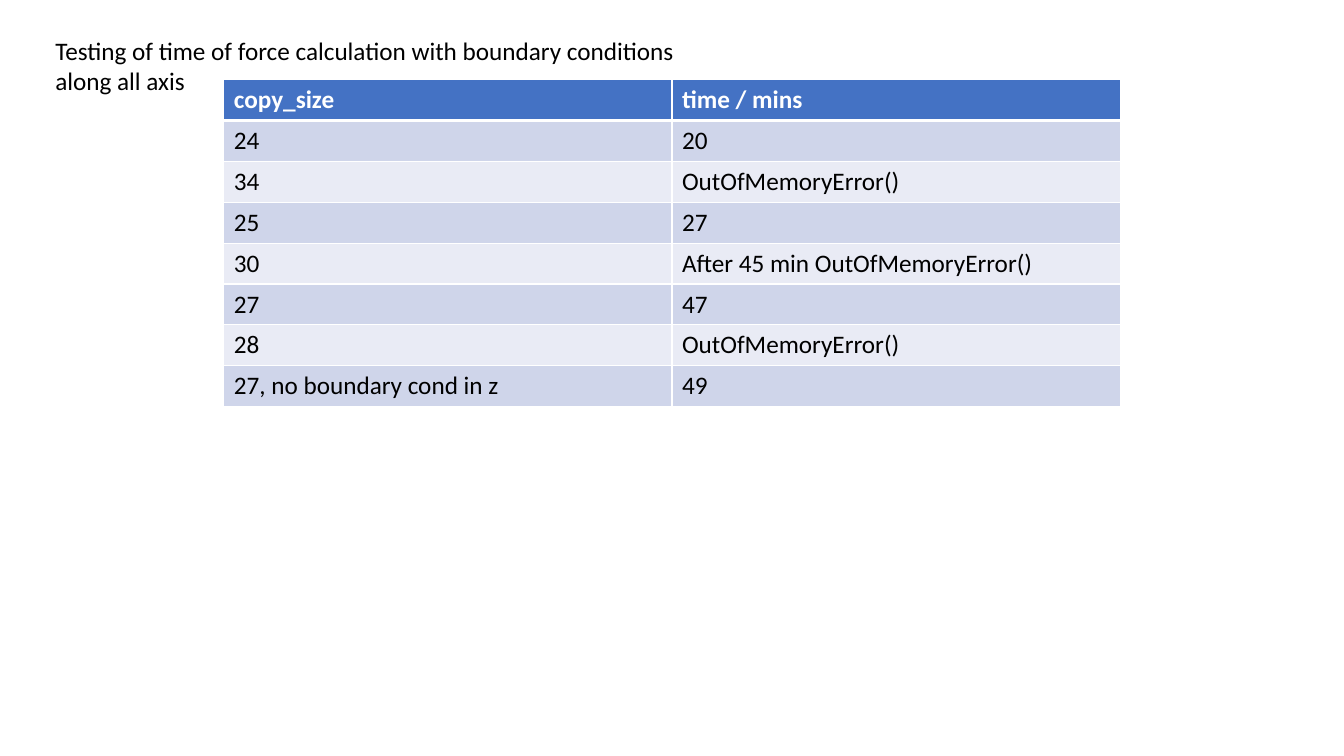
"""Build a slide listing force calculation times by copy size."""
from lxml.etree import SubElement
from pptx import Presentation
from pptx.dml.color import RGBColor
from pptx.oxml.ns import qn
from pptx.util import Inches, Pt


def style_text(paragraph, color, bold=False):
    font = paragraph.font
    font.name, font.size, font.bold = "Calibri", Pt(18), bold
    font.color.rgb = RGBColor.from_string(color)


def add_border(cell, side, points):
    line = SubElement(cell._tc.get_or_add_tcPr(), qn(f"a:ln{side}"), w=str(Pt(points)))
    SubElement(SubElement(line, qn("a:solidFill")), qn("a:srgbClr"), val="FFFFFF")


timings = [
    ("copy_size", "time / mins"),
    ("24", "20"),
    ("34", "OutOfMemoryError()"),
    ("25", "27"),
    ("30", "After 45 min OutOfMemoryError()"),
    ("27", "47"),
    ("28", "OutOfMemoryError()"),
    ("27, no boundary cond in z", "49"),
]

deck = Presentation()
deck.slide_width, deck.slide_height = Inches(13.33), Inches(7.5)
slide = deck.slides.add_slide(deck.slide_layouts[6])

results = slide.shapes.add_table(
    len(timings), 2, Inches(2.22), Inches(0.79), Inches(8.89), Inches(3.24)
).table
for row, timing in enumerate(timings):
    is_header = row == 0
    fill = "4472C4" if is_header else "CFD5EA" if row % 2 else "E9EBF5"
    for column, value in enumerate(timing):
        cell = results.cell(row, column)
        cell.text = value
        style_text(cell.text_frame.paragraphs[0], "FFFFFF" if is_header else "000000", is_header)
        add_border(cell, "L", 1)
        add_border(cell, "R", 1)
        add_border(cell, "T", 3 if row == 1 else 1)
        add_border(cell, "B", 3 if is_header else 1)
        cell.fill.solid()
        cell.fill.fore_color.rgb = RGBColor.from_string(fill)

heading = slide.shapes.add_textbox(Inches(0.45), Inches(0.3), Inches(6.67), Inches(0.71)).text_frame
heading.word_wrap = True
heading.text = "Testing of time of force calculation with boundary conditions along all axis"
style_text(heading.paragraphs[0], "000000")

deck.save("out.pptx")
